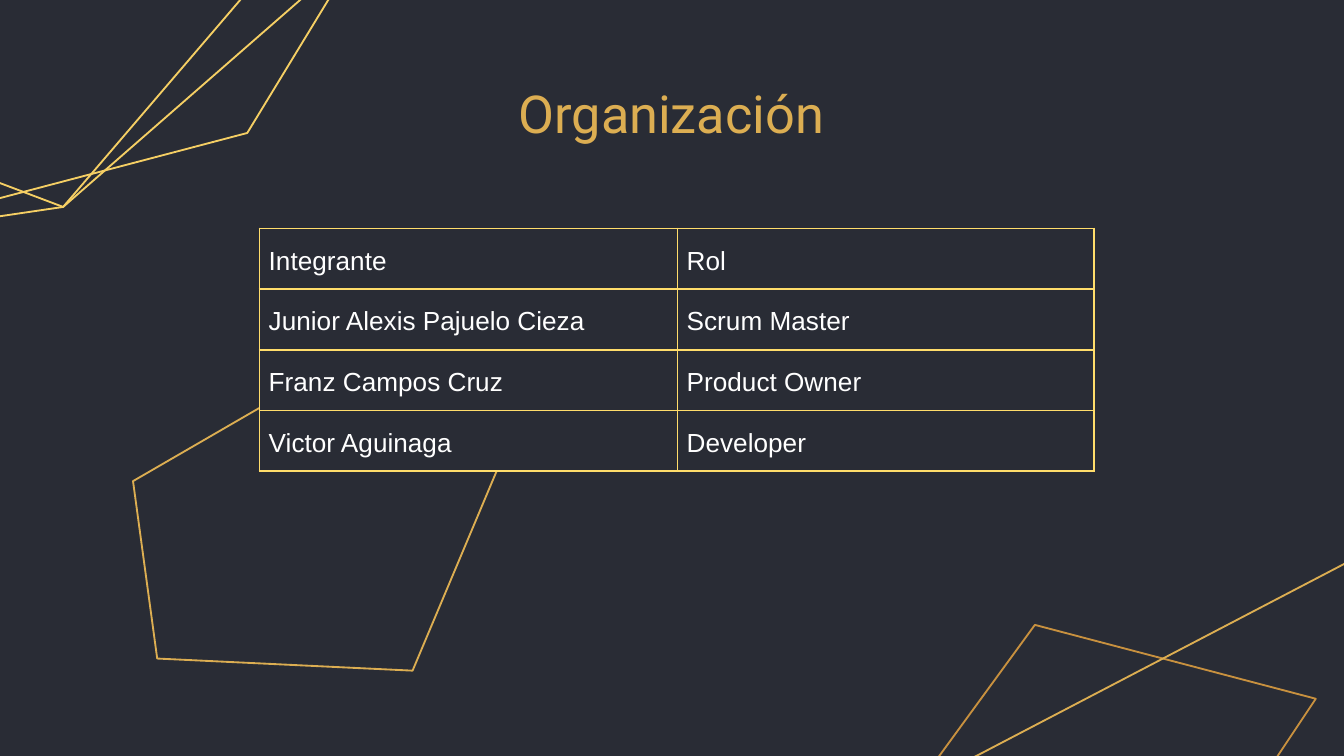
import pptx
import pptx.util
import pptx.dml.color
import pptx.enum.text
import pptx.oxml.ns
from lxml import etree
from pptx.util import Inches, Pt

COLORS = {
    "background": "292C35",
    "title": "DCAE52",
    "border": "FFDD6B",
    "text": "FFFFFF",
    "bronze": "C8913F",
    "gold": "DCAE52",
    "light gold": "F5CF64",
}


def rgb(name):
    return pptx.dml.color.RGBColor.from_string(COLORS[name])


def write(frame, text, *, font, size, color, align, anchor, spacing=1.0):
    frame.word_wrap = True
    frame.vertical_anchor = anchor
    paragraph = frame.paragraphs[0]
    paragraph.alignment = align
    paragraph.line_spacing = spacing
    run = paragraph.add_run()
    run.text = text
    run.font.name = font
    run.font.size = Pt(size)
    run.font.color.rgb = rgb(color)


presentation = pptx.Presentation()
presentation.slide_width = Inches(10)
presentation.slide_height = Inches(10) * 9 // 16
slide = presentation.slides.add_slide(presentation.slide_layouts[5])
slide.background.fill.solid()
slide.background.fill.fore_color.rgb = rgb("background")

# Line-art polygons: colour, line width, corners in inches
polygons = [
    ("gold", 1, [(1.17, 4.9), (0.99, 3.58), (2.7, 2.59), (3.73, 2.57),
                 (3.82, 3.21), (3.07, 4.99)]),
    ("bronze", 1, [(6.43, 8.51), (5.57, 7.57), (7.7, 4.65), (9.79, 5.2),
                   (8.05, 7.81)]),
    ("gold", 1, [(8.78, 8.48), (6.68, 5.93), (10.32, 4.03), (10.63, 5.73)]),
    ("light gold", 1, [(-1.7, 0.72), (-1.42, -0.88), (0.94, -1.4),
                       (2.15, -1.04), (2.01, -0.26), (0.47, 1.54)]),
    ("light gold", 1, [(-1.16, 1.78), (-1.7, 0.71), (0.94, -1.4),
                       (2.68, -0.39), (0.47, 1.54)]),
    ("light gold", 1, [(-1.16, 1.78), (-1.04, -1.32), (2.68, -0.39),
                       (1.84, 0.99)]),
]
for color, width, corners in polygons:
    points = [(Inches(x), Inches(y)) for x, y in corners]
    builder = slide.shapes.build_freeform(*points[0])
    builder.add_line_segments(points[1:], close=True)
    polygon = builder.convert_to_shape()
    polygon.shadow.inherit = False
    polygon.fill.background()
    polygon.line.color.rgb = rgb(color)
    polygon.line.width = Pt(width)

title = slide.shapes.title
title.left, title.top = Inches(2.18), Inches(0.6)
title.width, title.height = Inches(5.63), Inches(0.47)
write(title.text_frame, "Organización", font="Roboto", size=28, color="title",
      align=pptx.enum.text.PP_ALIGN.CENTER,
      anchor=pptx.enum.text.MSO_ANCHOR.MIDDLE)

members = [
    ("Integrante", "Rol"),
    ("Junior Alexis Pajuelo Cieza", "Scrum Master"),
    ("Franz Campos Cruz", "Product Owner"),
    ("Victor Aguinaga", "Developer"),
]
row_height = 0.45
roles = slide.shapes.add_table(
    len(members), 2, Inches(1.93), Inches(1.7),
    Inches(6.21), Inches(row_height * len(members))).table
roles.first_row = False
roles.horz_banding = False
roles.columns[0].width = Inches(3.11)
roles.columns[1].width = Inches(3.1)

for row, member in enumerate(members):
    roles.rows[row].height = Inches(row_height)
    for column, text in enumerate(member):
        cell = roles.cell(row, column)
        cell.margin_left = cell.margin_right = Inches(0.07)
        cell.margin_top = cell.margin_bottom = Inches(0.1)
        write(cell.text_frame, text, font="Arial", size=14, color="text",
              align=pptx.enum.text.PP_ALIGN.LEFT,
              anchor=pptx.enum.text.MSO_ANCHOR.TOP, spacing=1.15)
        properties = cell._tc.get_or_add_tcPr()
        for side in ("lnL", "lnR", "lnT", "lnB"):
            border = etree.SubElement(
                properties, pptx.oxml.ns.qn(f"a:{side}"), w=str(Pt(1)))
            fill = etree.SubElement(border, pptx.oxml.ns.qn("a:solidFill"))
            etree.SubElement(fill, pptx.oxml.ns.qn("a:srgbClr"),
                             val=COLORS["border"])
        cell.fill.solid()
        cell.fill.fore_color.rgb = rgb("background")

presentation.save("out.pptx")
